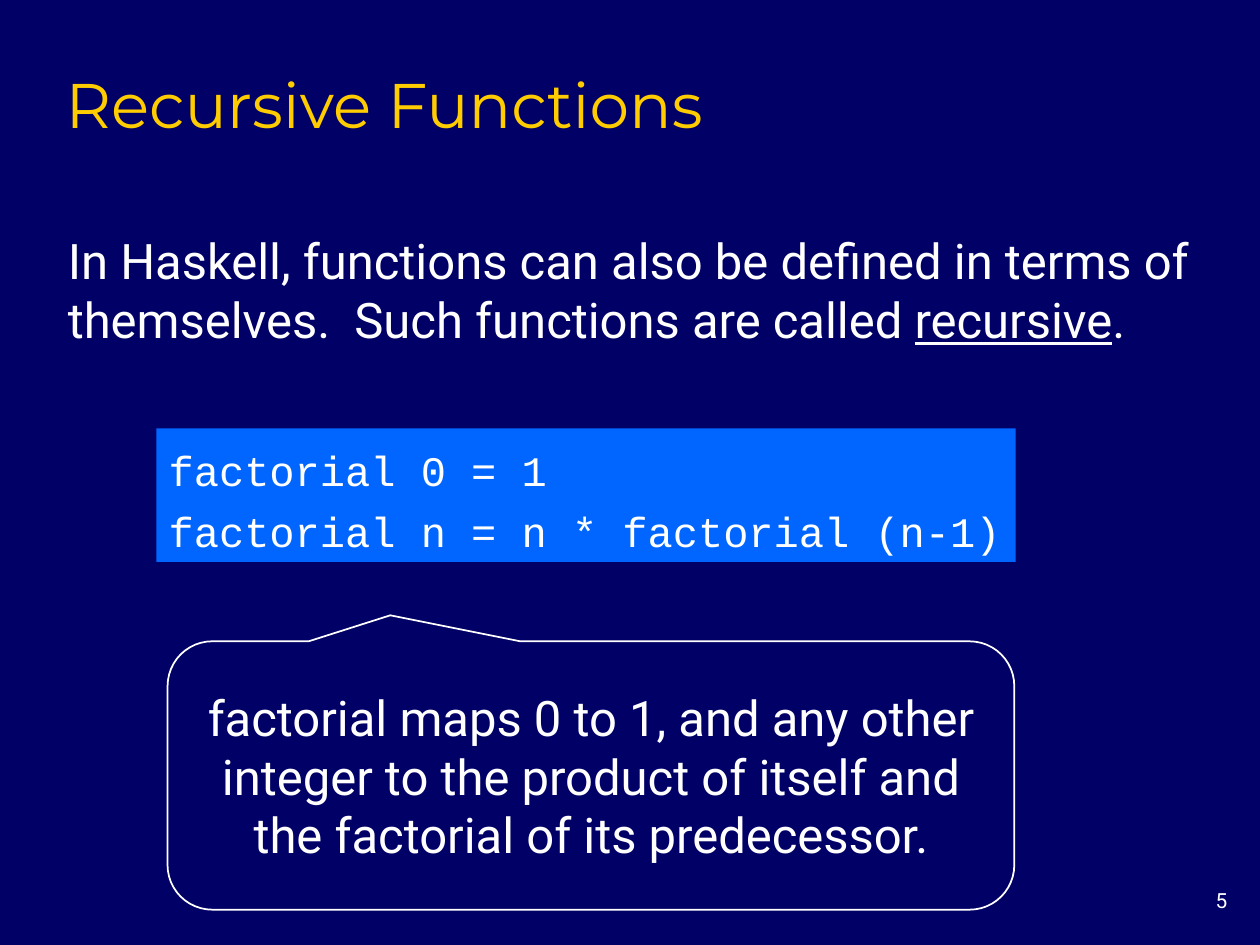
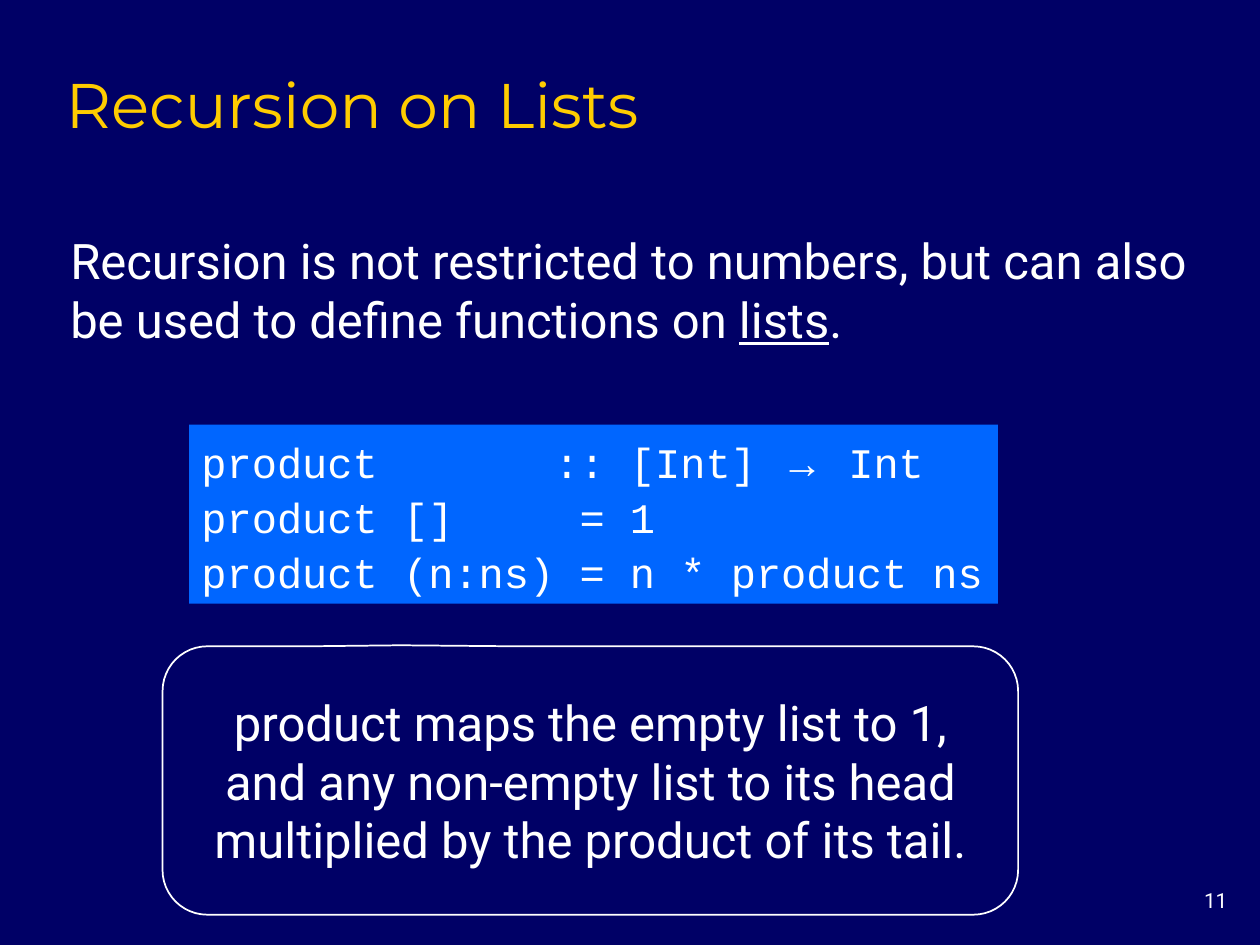
from pptx import Presentation
from pptx import util as u
from pptx.dml.color import RGBColor
from pptx.enum import shapes, text

NAVY, BLUE, GOLD, WHITE = "000066", "0066FF", "FFCC00", "FFFFFF"
HEADING, BODY, CODE, SYMBOL = "Montserrat", "Roboto", "Courier New", "Arial"
TITLE_AREA = (0.42, 0.42, 8.5, 0.75)
NUMBER_AREA = (9.17, 7, 0.67, 0.33)

# Areas are left, top, width, height in inches; each paragraph is a list of spans,
# and a span is plain text or a (text, format) pair.
SLIDES = [
    dict(
        title="Recursive Functions",
        number="5",
        intro=["In Haskell, functions can also be defined in terms of themselves.  "
               "Such functions are called ", ("recursive", {"underline": True}), "."],
        intro_area=(0.44, 1.55, 9.24, 1.5),
        code=[["factorial 0 = 1"], ["factorial n = n * factorial (n-1)"]],
        code_area=(1.24, 3.4, 6.82, 1.06),
        code_spacing=1.2,
        remark="factorial maps 0 to 1, and any other integer to the product of itself "
               "and the factorial of its predecessor.",
        remark_area=(1.33, 5.09, 6.72, 2.13),
        pointer=(-0.237, -0.597),
    ),
    dict(
        title="Recursion on Lists",
        number="11",
        intro=["Recursion is not restricted to numbers, but can also be used to define "
               "functions on ", ("lists", {"underline": True}), "."],
        intro_area=(0.46, 1.78, 9.07, 1.04),
        code=[["product       :: [Int] ", ("→", {"name": SYMBOL}), " Int"],
              ["product []     = 1"],
              ["product (n:ns) = n * product ns"]],
        code_area=(1.5, 3.37, 6.42, 1.42),
        code_spacing=1.1,
        remark="product maps the empty list to 1, and any non-empty list to its head "
               "multiplied by the product of its tail.",
        remark_area=(1.29, 5.13, 6.79, 2.13),
        pointer=(-0.222, -0.504),
    ),
]


def color(hex_string):
    return RGBColor.from_string(hex_string)


def inches(area):
    return [u.Inches(length) for length in area]


def write(box, paragraphs, size=28, name=BODY, ink=WHITE, align="LEFT",
          anchor="MIDDLE", spacing=1.0, wrap=True):
    frame = box.text_frame
    frame.word_wrap = wrap
    frame.auto_size = text.MSO_AUTO_SIZE.NONE
    frame.vertical_anchor = text.MSO_ANCHOR[anchor]
    frame.margin_left = frame.margin_right = u.Inches(0.1)
    frame.margin_top = frame.margin_bottom = u.Inches(0.05)
    for index, spans in enumerate(paragraphs):
        para = frame.add_paragraph() if index else frame.paragraphs[0]
        para.alignment = text.PP_ALIGN[align]
        para.line_spacing = spacing
        for item in spans:
            words, changes = (item, {}) if isinstance(item, str) else item
            span = para.add_run()
            span.text = words
            span.font.size = u.Pt(size)
            span.font.name = changes.get("name", name)
            span.font.underline = changes.get("underline")
            span.font.color.rgb = color(ink)


def add_box(page, kind, area, fill=None, line=None):
    box = page.shapes.add_shape(shapes.MSO_SHAPE[kind], *inches(area))
    box.shadow.inherit = False
    for part, hex_string in ((box.fill, fill), (box.line.fill, line)):
        if hex_string:
            part.solid()
            part.fore_color.rgb = color(hex_string)
        else:
            part.background()
    if line:
        box.line.width = u.Pt(1)
    return box


def add_page(deck, content):
    page = deck.slides.add_slide(deck.slide_layouts.get_by_name("Title Only"))
    number = page.shapes.add_textbox(*inches(NUMBER_AREA))
    write(number, [[content["number"]]], size=11.9, align="RIGHT", anchor="TOP")

    title = page.shapes.title
    title.left, title.top, title.width, title.height = inches(TITLE_AREA)
    write(title, [[content["title"]]], size=36, name=HEADING, ink=GOLD, anchor="BOTTOM")

    intro = page.shapes.add_textbox(*inches(content["intro_area"]))
    write(intro, [content["intro"]])

    code = add_box(page, "RECTANGLE", content["code_area"], fill=BLUE)
    write(code, content["code"], size=24, name=CODE,
          spacing=content["code_spacing"], wrap=False)

    remark = add_box(page, "ROUNDED_RECTANGULAR_CALLOUT", content["remark_area"], line=WHITE)
    remark.adjustments[0], remark.adjustments[1] = content["pointer"]
    write(remark, [[content["remark"]]], align="CENTER")


def main():
    deck = Presentation()
    deck.slide_width, deck.slide_height = inches((10, 7.5))
    backdrop = deck.slide_master.background.fill
    backdrop.solid()
    backdrop.fore_color.rgb = color(NAVY)
    for content in SLIDES:
        add_page(deck, content)
    deck.save("out.pptx")


if __name__ == "__main__":
    main()
